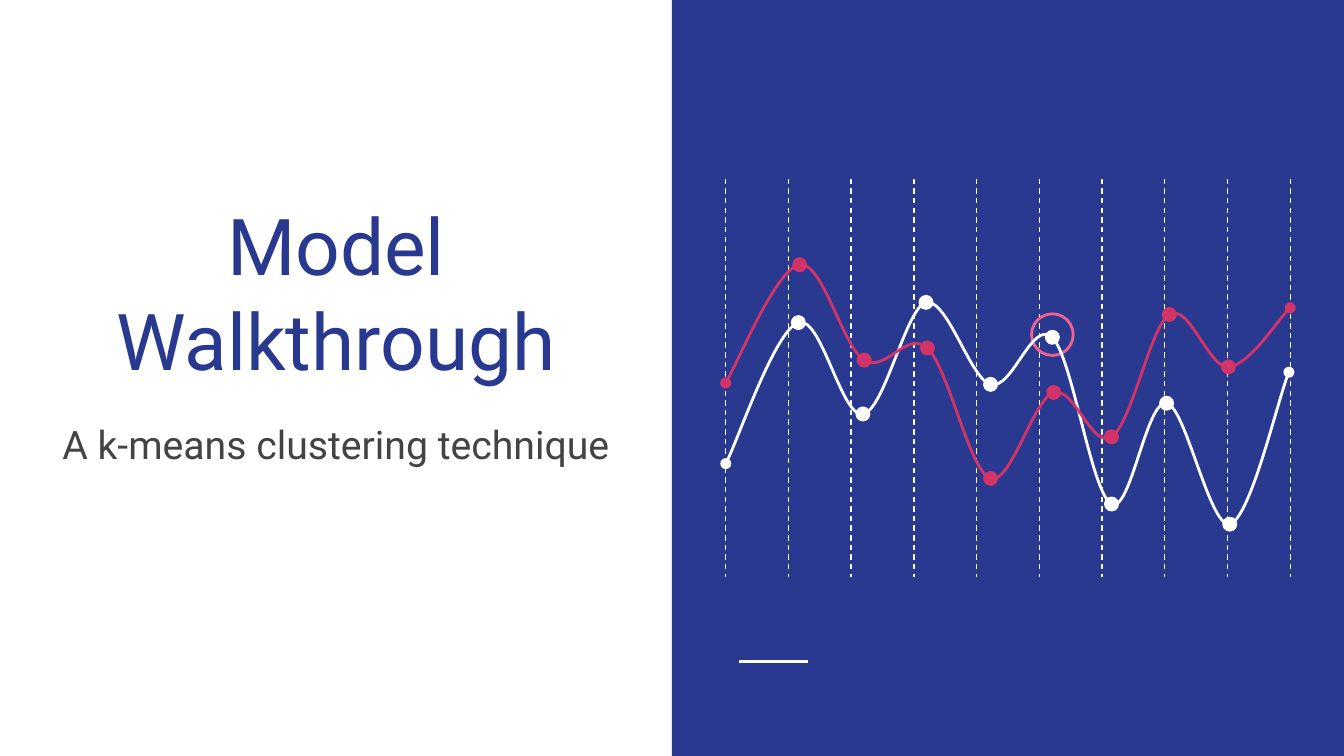
from lxml.etree import SubElement
from pptx import Presentation
from pptx.dml.color import RGBColor
from pptx.enum.dml import MSO_LINE
from pptx.enum.shapes import MSO_CONNECTOR, MSO_SHAPE
from pptx.enum.text import MSO_ANCHOR, PP_ALIGN
from pptx.oxml.ns import qn
from pptx.util import Inches, Pt

SLIDE_W = 10
SLIDE_H = SLIDE_W * 9 / 16
WHITE, NAVY, GREY = "FFFFFF", "2A3990", "434343"
CRIMSON, PINK = "D23369", "F06292"

WHITE_CURVE = [
    (0, 2.12),
    (0.09, 1.95), (0.37, 1.13), (0.54, 1.07),
    (0.71, 1.01), (0.86, 1.78), (1.02, 1.75),
    (1.18, 1.73), (1.34, 0.96), (1.49, 0.92),
    (1.65, 0.89), (1.82, 1.49), (1.97, 1.53),
    (2.13, 1.58), (2.28, 1.04), (2.43, 1.18),
    (2.58, 1.33), (2.72, 2.34), (2.87, 2.42),
    (3.01, 2.5), (3.13, 1.64), (3.28, 1.67),
    (3.42, 1.69), (3.6, 2.6), (3.75, 2.57),
    (3.9, 2.53), (4.11, 1.63), (4.19, 1.44),
]
CRIMSON_CURVE = [
    (0, 1.52),
    (0.09, 1.37), (0.38, 0.67), (0.55, 0.64),
    (0.72, 0.61), (0.87, 1.25), (1.03, 1.35),
    (1.19, 1.45), (1.35, 1.12), (1.5, 1.26),
    (1.66, 1.41), (1.81, 2.17), (1.97, 2.23),
    (2.12, 2.28), (2.29, 1.64), (2.44, 1.59),
    (2.59, 1.54), (2.73, 2.02), (2.87, 1.92),
    (3.02, 1.83), (3.16, 1.1), (3.3, 1.01),
    (3.45, 0.92), (3.59, 1.41), (3.74, 1.4),
    (3.89, 1.39), (4.12, 1.03), (4.2, 0.96),
]


def rgb(color):
    return RGBColor.from_string(color)


def add_line(s, x1, y1, x2, y2, width, dash=None):
    line = s.shapes.add_connector(
        MSO_CONNECTOR.STRAIGHT, Inches(x1), Inches(y1), Inches(x2), Inches(y2))
    line.line.color.rgb = rgb(WHITE)
    line.line.width = Pt(width)
    if dash:
        line.line.dash_style = dash
    SubElement(line._element.spPr, qn("a:effectLst"))


def add_shape(s, kind, x, y, w, h, fill=None, outline=None):
    sp = s.shapes.add_shape(kind, Inches(x), Inches(y), Inches(w), Inches(h))
    sp.shadow.inherit = False
    if fill:
        sp.fill.solid()
        sp.fill.fore_color.rgb = rgb(fill)
    else:
        sp.fill.background()
    if outline:
        sp.line.color.rgb = rgb(outline)
        sp.line.width = Pt(1.5)
    else:
        sp.line.fill.background()


def add_dot(s, cx, cy, d, fill, outline):
    add_shape(s, MSO_SHAPE.OVAL, cx - d / 2, cy - d / 2, d, d, fill, outline)


def add_curve(s, x, y, points, color):
    points = [(x + px, y + py) for px, py in points]
    emu = [(Inches(px), Inches(py)) for px, py in points]
    builder = s.shapes.build_freeform(*emu[0])
    builder.add_line_segments(emu[1:], close=False)
    sp = builder.convert_to_shape()
    sp.shadow.inherit = False
    sp.fill.background()
    sp.line.color.rgb = rgb(color)
    sp.line.width = Pt(1.5)

    path = next(sp._element.iter(qn("a:path")))
    segments = path.findall(qn("a:lnTo"))
    for i in range(0, len(segments), 3):
        bezier = SubElement(path, qn("a:cubicBezTo"))
        for segment in segments[i:i + 3]:
            bezier.append(segment[0])
            path.remove(segment)
    ln = sp._element.spPr.find(qn("a:ln"))
    for end in ("a:headEnd", "a:tailEnd"):
        SubElement(ln, qn(end), type="oval")

    for cx, cy in points[3:-1:3]:
        add_dot(s, cx, cy, 0.09, color, color)


def add_text(s, x, y, w, h, text, size, color, anchor):
    tf = s.shapes.add_textbox(Inches(x), Inches(y), Inches(w), Inches(h)).text_frame
    tf.word_wrap = True
    tf.vertical_anchor = anchor
    tf.margin_left = tf.margin_right = Inches(0.1)
    tf.margin_top = tf.margin_bottom = Inches(0.1)
    tf.text = text
    p = tf.paragraphs[0]
    p.alignment = PP_ALIGN.CENTER
    font = p.runs[0].font
    font.name = "Roboto"
    font.size = Pt(size)
    font.color.rgb = rgb(color)


def add_panel(s, x, y, w, h):
    add_shape(s, MSO_SHAPE.RECTANGLE, x, y, w, h, NAVY)
    add_line(s, x + 0.5, y + 4.92, x + 1.01, y + 4.92, 1.5)


def add_headings(s, x, y, w):
    add_text(s, x, y, w, 1.71, "Model Walkthrough", 42, NAVY, MSO_ANCHOR.BOTTOM)
    add_text(s, x, y + 1.77, w, 1.39, "A k-means clustering technique", 21, GREY,
             MSO_ANCHOR.TOP)


def add_graph(s, x, y, w, h, lines=10):
    for i in range(lines):
        line_x = x + i * w / (lines - 1)
        add_line(s, line_x, y, line_x, y + h, 0.75, MSO_LINE.DASH)
    add_dot(s, x + 2.43, y + 1.16, 0.31, None, PINK)
    add_curve(s, x, y, WHITE_CURVE, WHITE)
    add_curve(s, x, y, CRIMSON_CURVE, CRIMSON)


def main():
    prs = Presentation()
    prs.slide_width = Inches(SLIDE_W)
    prs.slide_height = Inches(SLIDE_H)
    s = prs.slides.add_slide(prs.slide_layouts[6])
    add_panel(s, SLIDE_W / 2, 0, SLIDE_W / 2, SLIDE_H)
    add_headings(s, 0.29, 1.26, 4.42)
    add_graph(s, 5.4, 1.33, 4.2, 2.96)
    prs.save("out.pptx")


if __name__ == "__main__":
    main()
